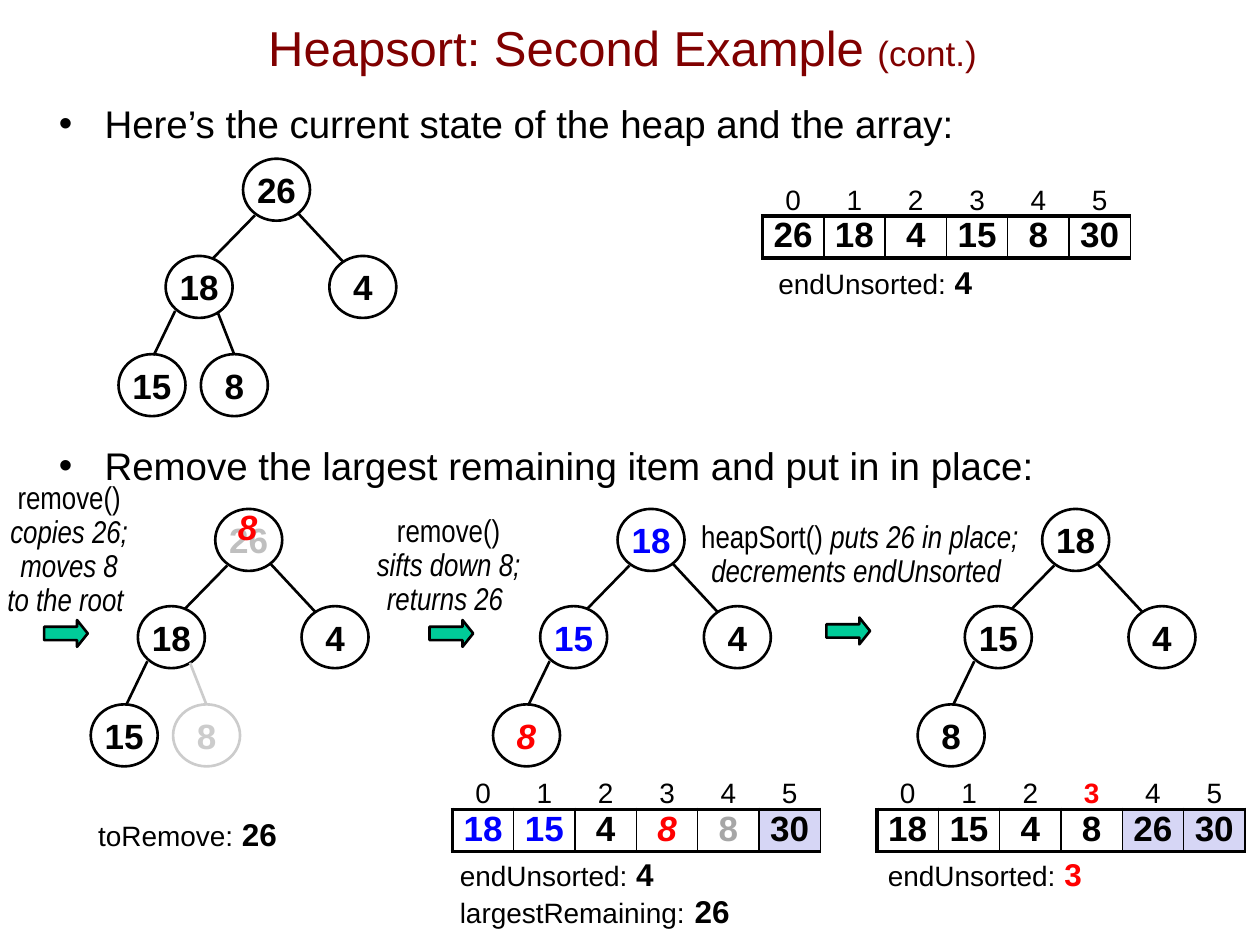
"""Build the slide that shows one heapsort removal step in trees and arrays."""
from dataclasses import dataclass

from lxml import etree
from pptx import Presentation
from pptx import util as u
from pptx.dml.color import RGBColor
from pptx.enum import shapes, text
from pptx.oxml.ns import qn


@dataclass(frozen=True)
class Theme:
    sans: str = "Arial"
    narrow: str = "Arial Narrow"
    black: str = "000000"
    maroon: str = "800000"
    red: str = "FF0000"
    blue: str = "0000FF"
    grey: str = "A6A6A6"
    pale: str = "BFBFBF"
    faint: str = "CCCCCC"
    green: str = "00CC99"
    sorted_fill: str = "D6D6F5"
    title: int = 28
    body: int = 22
    item: int = 20
    note: int = 18
    label: int = 16
    outline: float = 1.5
    thick: float = 2.25
    thin: float = 1


theme = Theme()
LEFT, CENTER = text.PP_ALIGN.LEFT, text.PP_ALIGN.CENTER


def write(frame, paragraphs, align=CENTER, font=theme.sans, spacing=None):
    for index, runs in enumerate(paragraphs):
        para = frame.paragraphs[0] if index == 0 else frame.add_paragraph()
        para.alignment = align
        para.line_spacing = spacing
        for words, size, colour, style in runs:
            for number, line in enumerate(words.split("\n")):
                if number:
                    para.add_line_break()
                span = para.add_run()
                span.text = line
                span.font.name = font
                span.font.size = u.Pt(size)
                span.font.bold = "b" in style
                span.font.italic = "i" in style
                span.font.color.rgb = RGBColor.from_string(colour)


def set_margins(target, left=0, top=0, right=0, bottom=0):
    target.margin_left, target.margin_top = u.Cm(left), u.Cm(top)
    target.margin_right, target.margin_bottom = u.Cm(right), u.Cm(bottom)


deck = Presentation()
deck.slide_width, deck.slide_height = u.Cm(25.4), u.Cm(19.05)
page = deck.slides.add_slide(deck.slide_layouts[6])

title = page.shapes.add_textbox(u.Cm(1.63), u.Cm(-0.23), u.Cm(21.84), u.Cm(2.36)).text_frame
title.word_wrap = True
title.vertical_anchor = text.MSO_ANCHOR.MIDDLE
write(title, [[("Heapsort: Second Example ", theme.title, theme.maroon, ""),
               ("(cont.)", theme.item, theme.maroon, "")]])

body = page.shapes.add_textbox(u.Cm(0.94), u.Cm(1.9), u.Cm(24.46), u.Cm(15.6)).text_frame
body.word_wrap = True
write(body, [[(words, theme.body, theme.black, "")] for words in (
    "Here’s the current state of the heap and the array:",
    "Remove the largest remaining item and put in in place:")], LEFT)
body.paragraphs[1].space_before = u.Pt(169)
for para in body.paragraphs:
    properties = para._p.get_or_add_pPr()
    properties.set("marL", str(u.Cm(0.92)))
    properties.set("indent", str(u.Cm(-0.92)))
    etree.SubElement(properties, qn("a:buFont"), typeface=theme.sans)
    etree.SubElement(properties, qn("a:buChar"), char="•")

slots = [(0, 0), (-1.56, 1.96), (1.74, 1.96), (-2.51, 3.94), (-0.85, 3.94), (-0.02, -0.28)]
edges = [(0.24, 1.14, -0.61, 2.01), (1.1, 1.09, 2.02, 2.08),
         (-1.37, 3.07, -1.8, 3.96), (-0.51, 3.1, -0.18, 3.94)]
plain = (theme.black, "b", theme.black)
blue = (theme.blue, "b", theme.black)
trees = [
    (4.9, 3.2, [("26", *plain), ("18", *plain), ("4", *plain), ("15", *plain), ("8", *plain)]),
    (4.34, 10.26, [("26", theme.pale, "b", theme.black), ("18", *plain), ("4", *plain),
                   ("15", *plain), ("8", theme.faint, "b", theme.faint),
                   ("8", theme.red, "bi", None)]),
    (12.45, 10.26, [("18", *blue), ("15", *blue), ("4", *plain),
                    ("8", theme.red, "bi", theme.black)]),
    (21.01, 10.26, [("18", *plain), ("15", *plain), ("4", *plain), ("8", *plain)]),
]
for left, top, nodes in trees:
    for (across, down), (label, colour, style, outline) in zip(slots, nodes):
        node = page.shapes.add_shape(shapes.MSO_SHAPE.OVAL, u.Cm(left + across),
                                     u.Cm(top + down), u.Cm(1.35), u.Cm(1.25))
        node.shadow.inherit = False
        node.fill.background()
        if outline:
            node.line.color.rgb = RGBColor.from_string(outline)
            node.line.width = u.Pt(theme.outline)
        else:
            node.line.fill.background()
        set_margins(node.text_frame)
        node.text_frame.vertical_anchor = text.MSO_ANCHOR.MIDDLE
        write(node.text_frame, [[(label, theme.item, colour, style)]])
    for (x1, y1, x2, y2), child in zip(edges, nodes[1:]):
        edge = page.shapes.add_connector(shapes.MSO_CONNECTOR.STRAIGHT, u.Cm(left + x1),
                                         u.Cm(top + y1), u.Cm(left + x2), u.Cm(top + y2))
        edge.line.color.rgb = RGBColor.from_string(child[3])
        edge.line.width = u.Pt(theme.outline)
        etree.SubElement(edge._element.spPr, qn("a:effectLst"))

for left, top in [(0.89, 12.5), (8.66, 12.5), (16.66, 12.45)]:
    arrow = page.shapes.add_shape(shapes.MSO_SHAPE.RIGHT_ARROW, u.Cm(left), u.Cm(top),
                                  u.Cm(0.88), u.Cm(0.54))
    arrow.adjustments[0], arrow.adjustments[1] = 0.5, 0.4
    arrow.shadow.inherit = False
    arrow.fill.solid()
    arrow.fill.fore_color.rgb = RGBColor.from_string(theme.green)
    arrow.line.color.rgb = RGBColor.from_string(theme.black)
    arrow.line.width = u.Pt(theme.outline)

black, changed = (theme.black, "b"), (theme.blue, "b")
arrays = [
    (15.37, 3.53, None, 6, [("26", *black), ("18", *black), ("4", *black),
                            ("15", *black), ("8", *black), ("30", *black)]),
    (9.12, 15.49, None, 5, [("18", *changed), ("15", *changed), ("4", *black),
                            ("8", theme.red, "bi"), ("8", theme.grey, "b"), ("30", *black)]),
    (17.68, 15.49, 3, 4, [("18", *black), ("15", *black), ("4", *black),
                          ("8", *black), ("26", *black), ("30", *black)]),
]
for left, top, marked, sorted_from, items in arrays:
    table = page.shapes.add_table(2, len(items), u.Cm(left), u.Cm(top),
                                  u.Cm(7.42), u.Cm(1.65)).table
    table.first_row = table.horz_banding = False
    style_id = table._tbl.tblPr.find(qn("a:tableStyleId"))
    style_id.text = "{2D5ABB26-0587-4C30-8999-92F81FD0307C}"
    for column, (label, colour, style) in enumerate(items):
        index_look = (theme.red, "b") if column == marked else (theme.black, "")
        head, value = table.cell(0, column), table.cell(1, column)
        set_margins(head, 0.25, 0.13, 0.25)
        set_margins(value)
        head.vertical_anchor = text.MSO_ANCHOR.BOTTOM
        write(head.text_frame, [[(str(column), theme.label, *index_look)]])
        write(value.text_frame, [[(label, theme.item, colour, style)]])
        side = theme.thin if column else theme.thick
        for cell, borders in ((head, {"lnB": theme.thick}),
                              (value, {"lnL": side, "lnR": theme.thin,
                                       "lnT": theme.thick, "lnB": theme.thick})):
            properties = cell._tc.get_or_add_tcPr()
            for tag, width in borders.items():
                border = etree.SubElement(properties, qn("a:" + tag), w=str(u.Pt(width)))
                paint = etree.SubElement(border, qn("a:solidFill"))
                etree.SubElement(paint, qn("a:srgbClr"), val=theme.black)
            cell.fill.background()
        if column >= sorted_from:
            value.fill.solid()
            value.fill.fore_color.rgb = RGBColor.from_string(theme.sorted_fill)

variables = [
    (15.44, 5.18, 4.47, 1.02, None, [("endUnsorted:", "4", theme.black)]),
    (1.73, 16.31, 4.17, 1.02, None, [("toRemove:", "26", theme.black)]),
    (9.02, 17.2, 6.02, 2.41, 0.9, [("endUnsorted:", "4", theme.black),
                                   ("largestRemaining:", "26", theme.black)]),
    (17.65, 17.2, 4.47, 1.65, 0.9, [("endUnsorted:", "3", theme.red)]),
]
notes = [
    (-0.13, 9.6, 3.05, 3.71, [[("remove()", "")], [("copies 26;\nmoves 8\nto the root ", "i")]]),
    (7.32, 10.26, 3.45, 3.02, [[("remove()", "")], [("sifts down 8;\nreturns 26 ", "i")]]),
    (13.84, 10.39, 6.99, 2.34, [[("heapSort()", ""),
                                 (" puts 26 in place;\ndecrements endUnsorted ", "i")]]),
]
captions = [(*place, LEFT, theme.sans, spacing,
             [[(name, theme.label, theme.black, ""),
               (" ", theme.item if name == "largestRemaining:" else theme.note, theme.black, ""),
               (value, theme.note, colour, "b")] for name, value, colour in rows])
            for *place, spacing, rows in variables]
captions += [(*place, CENTER, theme.narrow, 0.9,
              [[(words, theme.note, theme.black, style) for words, style in runs]
               for runs in paragraphs]) for *place, paragraphs in notes]
for left, top, width, height, align, font, spacing, paragraphs in captions:
    box = page.shapes.add_textbox(u.Cm(left), u.Cm(top), u.Cm(width), u.Cm(height))
    box.text_frame.word_wrap = False
    box.text_frame.auto_size = text.MSO_AUTO_SIZE.SHAPE_TO_FIT_TEXT
    write(box.text_frame, paragraphs, align, font, spacing)

deck.save("out.pptx")
